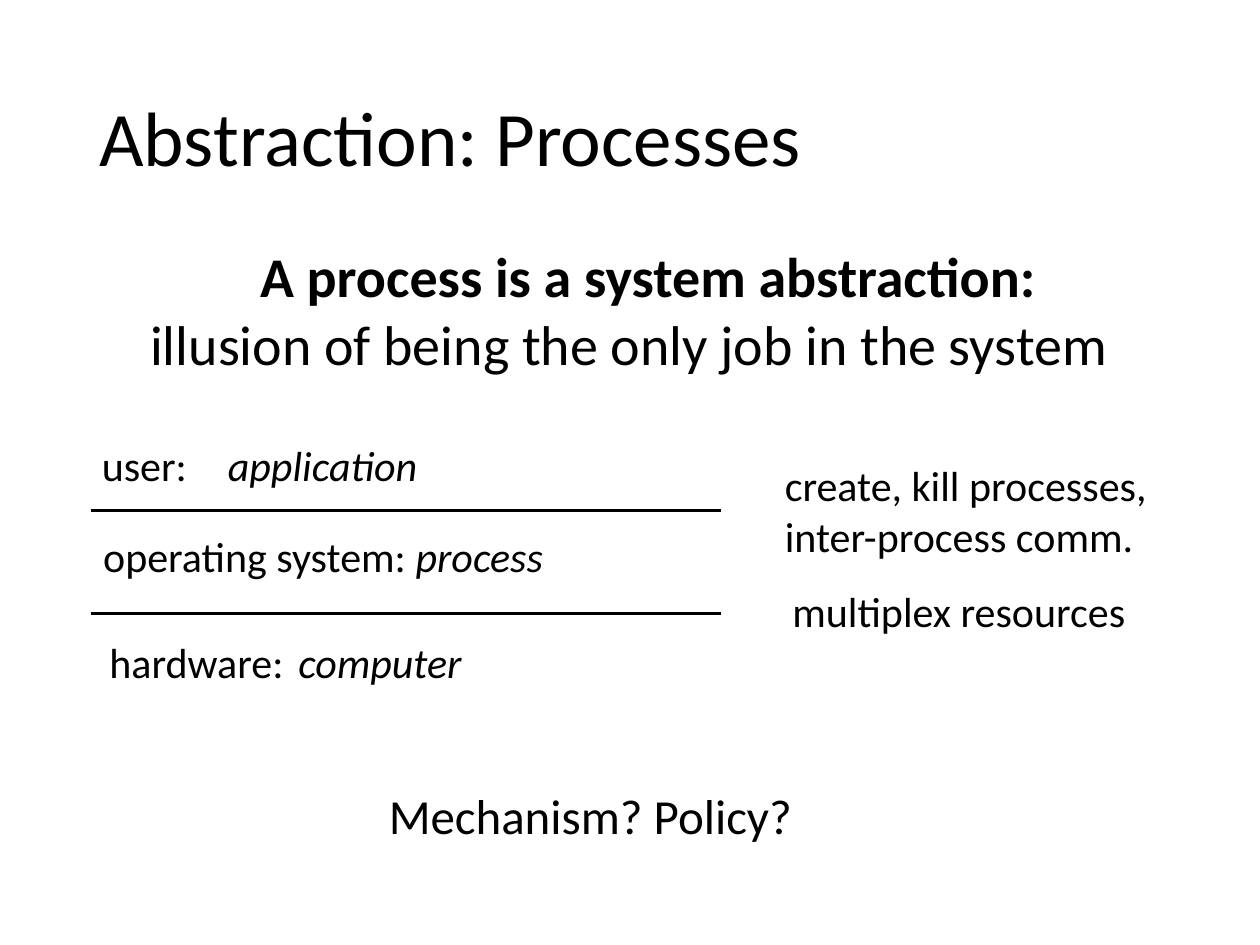
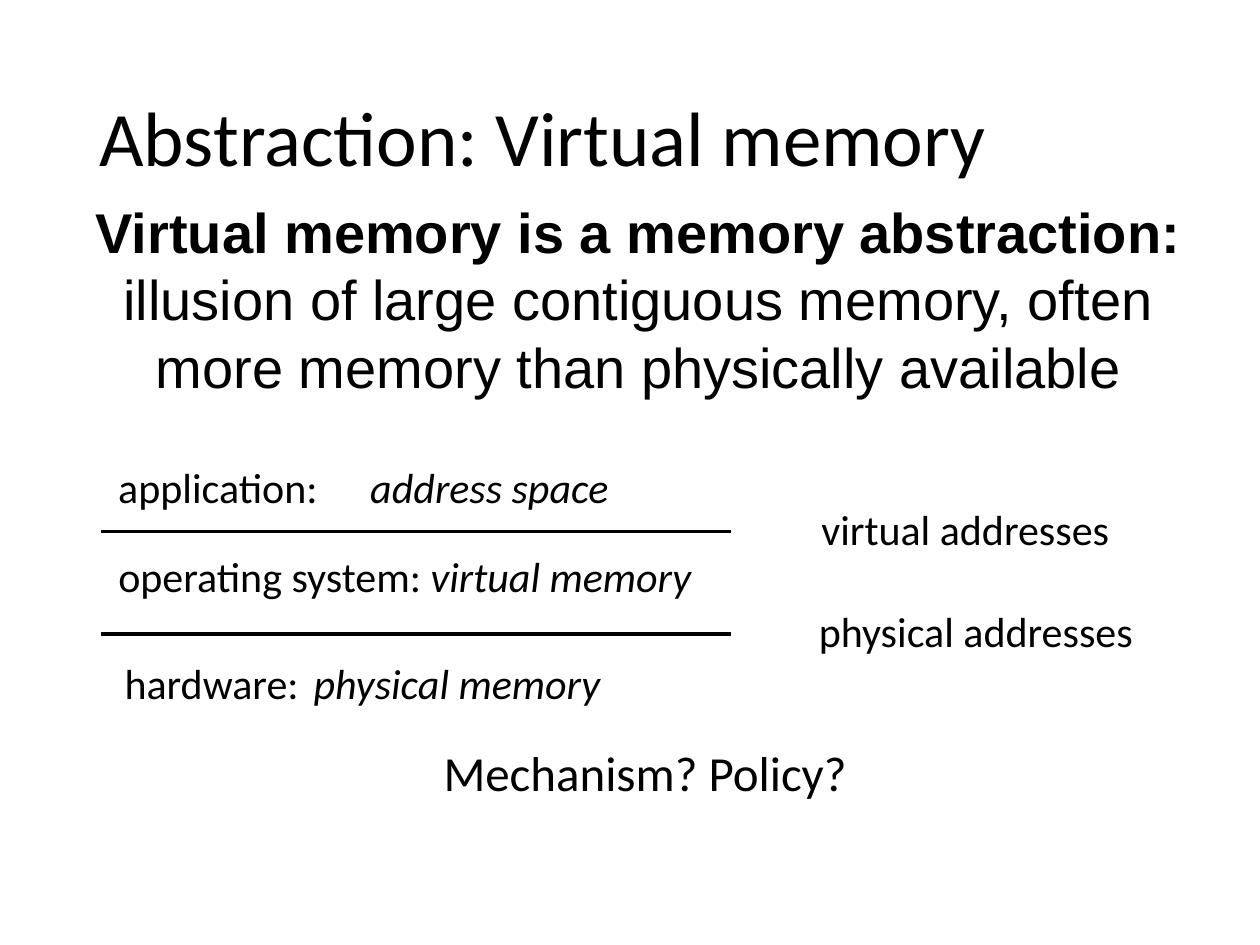
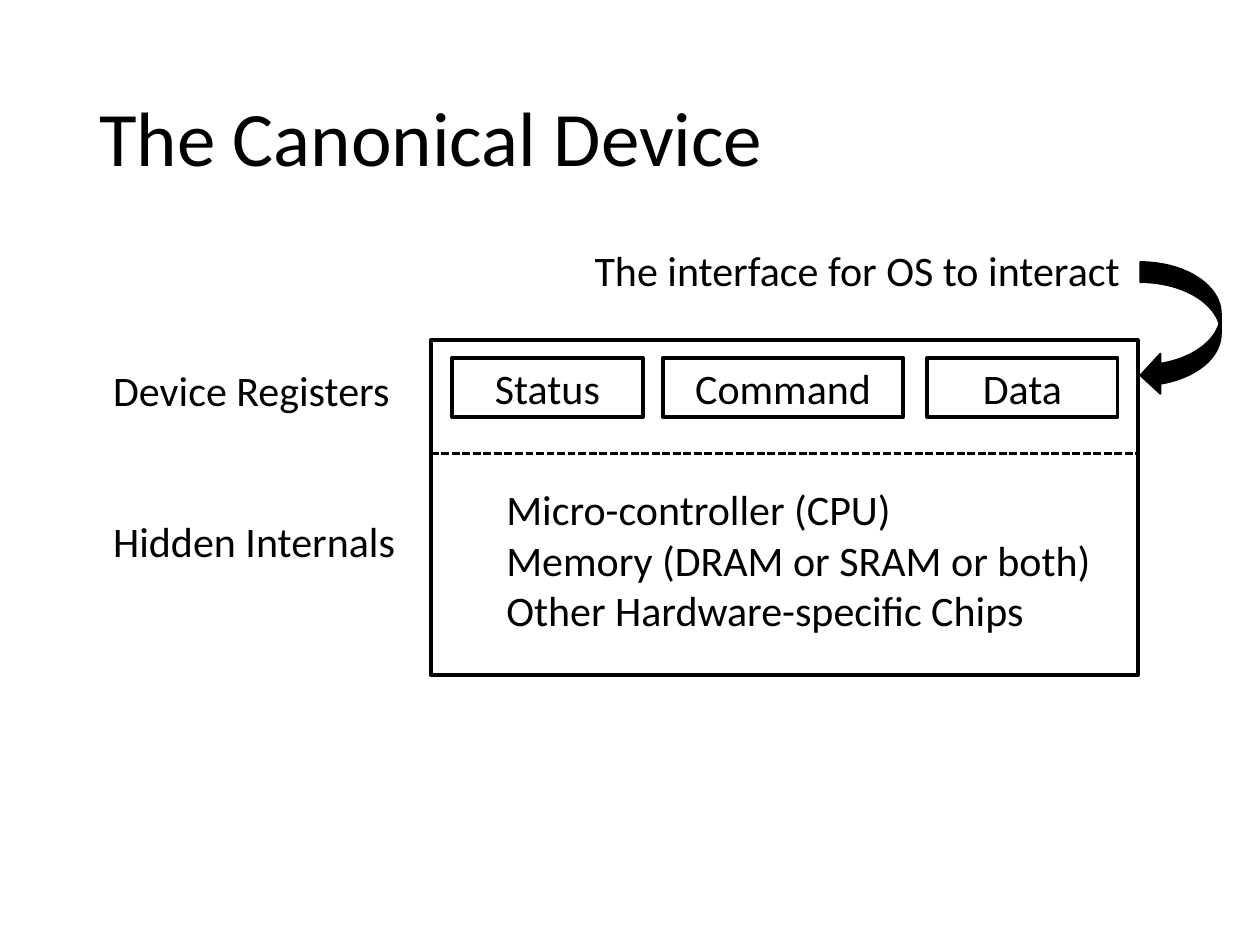
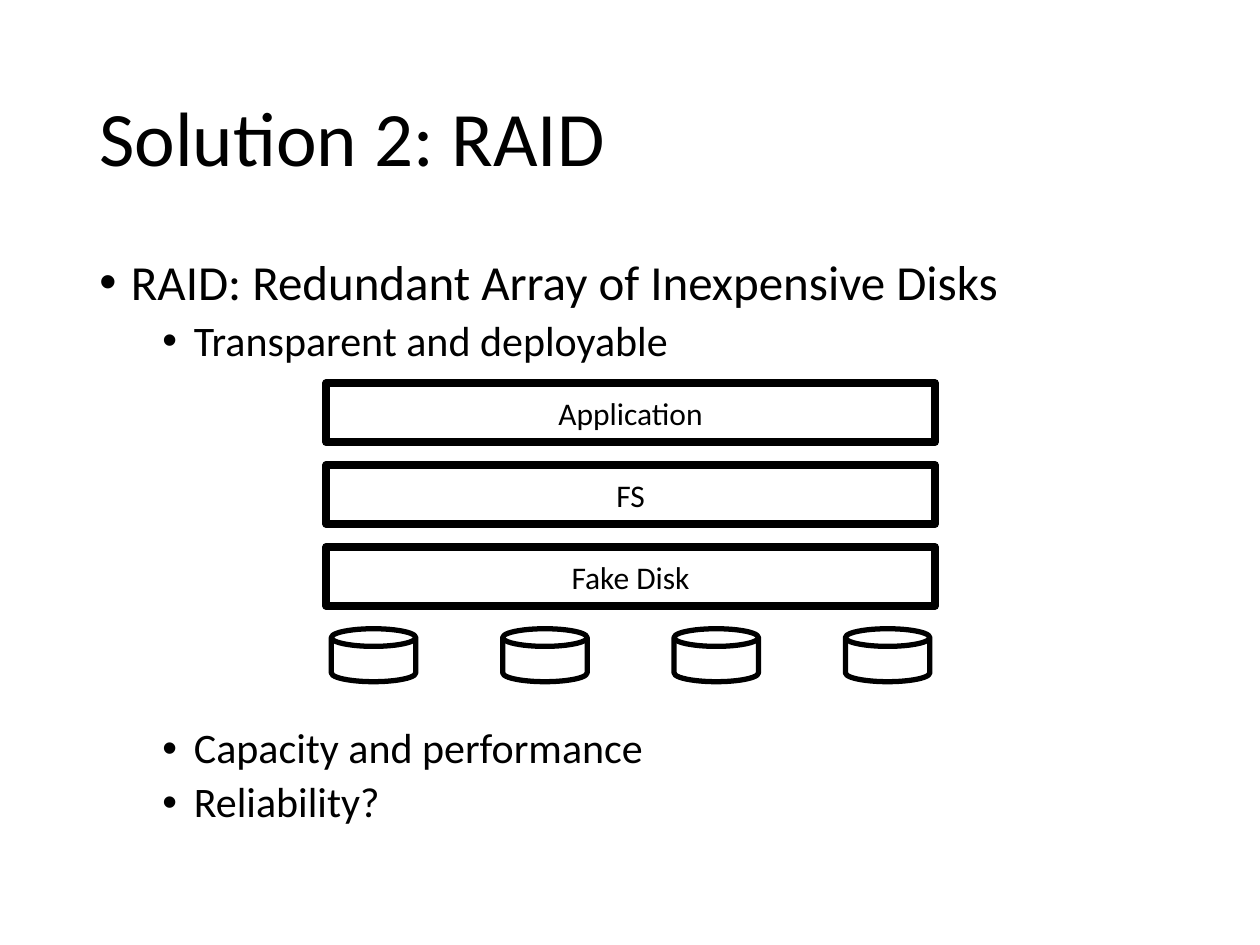
from lxml.etree import SubElement
from pptx import Presentation
from pptx.dml.color import RGBColor
from pptx.enum.dml import MSO_LINE
from pptx.enum.shapes import MSO_CONNECTOR, MSO_SHAPE
from pptx.enum.text import MSO_ANCHOR, PP_ALIGN
from pptx.oxml.ns import qn
from pptx.util import Inches, Pt

INK = "000000"
FACE = "Calibri"
MID = PP_ALIGN.CENTER


def paint(color):
    return RGBColor.from_string(color)


def write(frame, text, size=24, bold=False, italic=False, face=FACE,
          color=INK, align=PP_ALIGN.LEFT, before=0, left=0, right=0, hang=0,
          lead=None, bullet=None, tab=None, join=False):
    para = frame.paragraphs[-1]
    if not join:
        if para.runs:
            para = frame.add_paragraph()
        para.alignment = align
        para.space_before = Pt(before)
        if lead:
            para.line_spacing = lead
        props = para._p.get_or_add_pPr()
        props.set("marL", str(Inches(left)))
        props.set("marR", str(Inches(right)))
        props.set("indent", str(Inches(-hang)))
        if bullet:
            SubElement(props, qn("a:buFont"), typeface="Arial")
            SubElement(props, qn("a:buChar"), char=bullet)
        if tab:
            stops = SubElement(props, qn("a:tabLst"))
            SubElement(stops, qn("a:tab"), pos=str(Inches(tab)), algn="l")
    run = para.add_run()
    run.text = text
    font = run.font
    font.size, font.bold, font.italic, font.name = Pt(size), bold, italic, face
    font.color.rgb = paint(color)


class Deck:
    def __init__(self):
        self.show = Presentation()
        self.show.slide_width = Inches(10)
        self.show.slide_height = Inches(7.5)
        self.slide = None

    def start(self, title):
        self.slide = self.show.slides.add_slide(self.show.slide_layouts[6])
        frame = self.box(0.69, 0.4, 8.62, 1.45)
        frame.vertical_anchor = MSO_ANCHOR.MIDDLE
        write(frame, title, size=44, lead=0.9)

    def box(self, x, y, wide, high):
        frame = self.slide.shapes.add_textbox(
            Inches(x), Inches(y), Inches(wide), Inches(high)).text_frame
        frame.word_wrap = True
        return frame

    def label(self, x, y, wide, *lines, high=0.5, gap=0):
        frame = self.box(x, y, wide, high)
        for i, text in enumerate(lines):
            write(frame, text, before=gap if i else 0)

    def row(self, x, y, wide, name, value, tab=None):
        frame = self.box(x, y, wide, 0.5)
        write(frame, name + ("\t" if tab else " "), tab=tab)
        write(frame, value, italic=True, join=True)

    def shape(self, kind, x, y, wide, high, weight, fill=None):
        shape = self.slide.shapes.add_shape(
            kind, Inches(x), Inches(y), Inches(wide), Inches(high))
        shape.shadow.inherit = False
        if fill:
            shape.fill.solid()
            shape.fill.fore_color.rgb = paint(fill)
        else:
            shape.fill.background()
        shape.line.color.rgb = paint(INK)
        shape.line.width = Pt(weight)
        frame = shape.text_frame
        frame.word_wrap = True
        frame.vertical_anchor = MSO_ANCHOR.MIDDLE
        return frame

    def block(self, x, y, wide, high, weight, text, size):
        frame = self.shape(MSO_SHAPE.RECTANGLE, x, y, wide, high, weight)
        write(frame, text, size=size, align=MID)

    def rule(self, x, y, wide, weight=2, dash=None):
        line = self.slide.shapes.add_connector(
            MSO_CONNECTOR.STRAIGHT, Inches(x), Inches(y),
            Inches(x + wide), Inches(y))
        line.line.color.rgb = paint(INK)
        line.line.width = Pt(weight)
        if dash:
            line.line.dash_style = dash
        SubElement(line._element.spPr, qn("a:effectLst"))


def process(deck):
    deck.start("Abstraction: Processes")
    frame = deck.box(1.03, 1.87, 7.93, 4.94)
    write(frame, "A process is a system abstraction:", size=32, bold=True,
          align=MID, left=0.3)
    write(frame, "illusion of being the only job in the system", size=32,
          align=MID)
    write(frame, "Mechanism? Policy?", size=28, align=MID, before=234,
          right=0.62)
    for y in (4.05, 4.87):
        deck.rule(0.72, y, 5)
    deck.row(0.71, 3.44, 4.24, "user:", "application", tab=2.43)
    deck.row(0.72, 4.16, 3.82, "operating system:", "process")
    deck.row(0.77, 5, 4.13, "hardware:", "computer", tab=2.45)
    deck.label(6.13, 3.6, 3.12, "create, kill processes,",
               "inter-process comm.", high=0.91)
    deck.label(6.19, 4.6, 2.88, "multiplex resources")


def memory(deck):
    deck.start("Abstraction: Virtual memory")
    frame = deck.box(0.5, 1.52, 9.14, 4.94)
    write(frame, "Virtual memory is a memory abstraction: ", size=32,
          bold=True, face="Arial", align=MID)
    write(frame, "illusion of large contiguous memory, often more memory "
          "than physically available", size=32, face="Arial", join=True)
    write(frame, "Mechanism? Policy?", size=28, align=MID, before=196,
          left=0.1)
    for y in (4.22, 5.03):
        deck.rule(0.8, y, 5)
    deck.row(0.84, 3.61, 4.8, "application:", "address space", tab=2.6)
    deck.row(0.84, 4.32, 4.88, "operating system:", "virtual memory")
    deck.row(0.89, 5.17, 5.12, "hardware:", "physical memory", tab=2.53)
    deck.label(6.42, 3.95, 2.51, "virtual addresses")
    deck.label(6.4, 4.76, 2.73, "physical addresses")


def device(deck):
    deck.start("The Canonical Device")
    frame = deck.shape(MSO_SHAPE.RECTANGLE, 3.42, 2.7, 5.61, 2.66, 2.25)
    frame.margin_top = Inches(0.87)
    for part in ("Micro-controller (CPU)", "Memory (DRAM or SRAM or both)",
                 "Other Hardware-specific Chips"):
        write(frame, part, left=0.5)
    for name, x, wide in (("Status", 3.59, 1.51), ("Command", 5.26, 1.91),
                          ("Data", 7.36, 1.51)):
        deck.block(x, 2.84, wide, 0.47, 2.25, name, 24)
    deck.rule(3.42, 3.6, 5.62, weight=1.5, dash=MSO_LINE.SQUARE_DOT)
    deck.label(0.8, 2.84, 2.46, "Device Registers", "Hidden Internals",
               high=1.72, gap=58)
    deck.shape(MSO_SHAPE.CURVED_LEFT_ARROW, 9.05, 2.08, 0.64, 1.06, 1,
               fill=INK)
    deck.label(4.62, 1.89, 4.41, "The interface for OS to interact")


def raid(deck):
    deck.start("Solution 2: RAID")
    frame = deck.box(0.69, 2, 8.62, 4.76)
    for text, size, left, before in (
            ("RAID: Redundant Array of Inexpensive Disks", 28, 0.25, 10),
            ("Transparent and deployable", 24, 0.75, 5),
            ("Capacity and performance", 24, 0.75, 207),
            ("Reliability?", 24, 0.75, 5)):
        write(frame, text, size=size, left=left, hang=0.25, before=before,
              lead=0.9, bullet="•")
    for i, name in enumerate(("Application", "FS", "Fake Disk")):
        deck.block(2.59, 3.04 + 0.65 * i, 4.83, 0.47, 4.5, name, 18)
    for i in range(4):
        deck.shape(MSO_SHAPE.FLOWCHART_MAGNETIC_DISK, 2.63 + 1.36 * i, 4.99,
                   0.67, 0.42, 3)


def main():
    deck = Deck()
    for build in (process, memory, device, raid):
        build(deck)
    deck.show.save("out.pptx")


if __name__ == "__main__":
    main()
